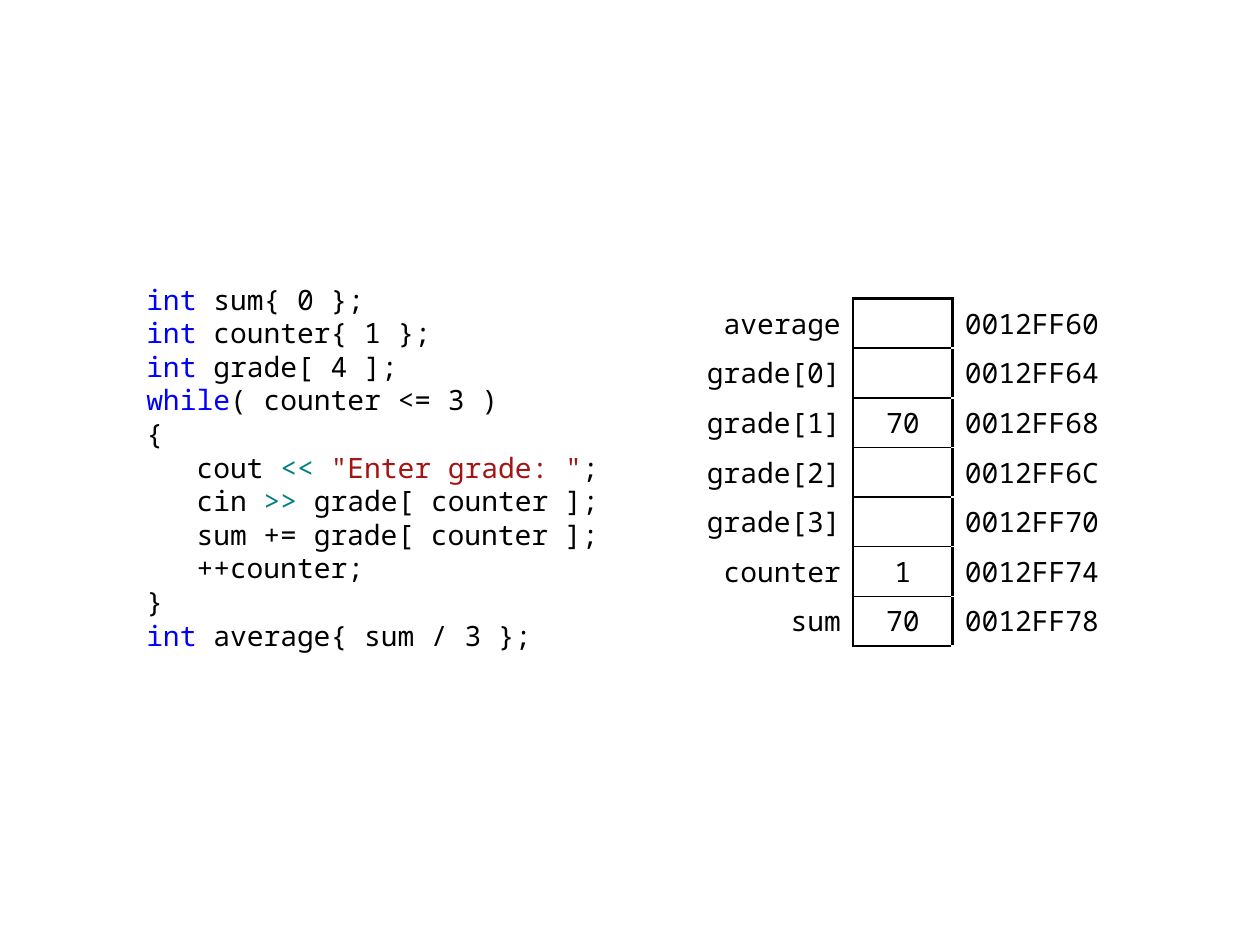
from pptx import Presentation
from pptx.dml.color import RGBColor
from pptx.enum.text import MSO_ANCHOR, PP_ALIGN
from pptx.oxml.ns import qn
from pptx.util import Cm, Pt
from lxml import etree

BLACK = RGBColor(0x00, 0x00, 0x00)
BLUE = RGBColor(0x00, 0x00, 0xFF)
TEAL = RGBColor(0x00, 0x80, 0x80)
RED = RGBColor(0xA3, 0x15, 0x15)

FONT = "Noto Sans Mono"
SIZE = Pt(16)
TOP, MIDDLE = MSO_ANCHOR.TOP, MSO_ANCHOR.MIDDLE
LEFT, CENTER, RIGHT = PP_ALIGN.LEFT, PP_ALIGN.CENTER, PP_ALIGN.RIGHT
THIN, THICK = Pt(1), Pt(1.5)

CODE = [
    [("int ", BLUE), ("sum{ 0 };", BLACK)],
    [("int ", BLUE), ("counter{ 1 };", BLACK)],
    [("int ", BLUE), ("grade[ 4 ];", BLACK)],
    [("while", BLUE), ("( counter <= 3 )", BLACK)],
    [("{", BLACK)],
    [("   cout ", BLACK), ("<< ", TEAL), ('"Enter grade: "', RED), (";", BLACK)],
    [("   cin ", BLACK), (">>", TEAL), (" grade[ counter ];", BLACK)],
    [("   sum += grade[ counter ];", BLACK)],
    [("   ++counter;", BLACK)],
    [("}", BLACK)],
    [("int ", BLUE), ("average{ sum / 3 };", BLACK)],
]

MEMORY = [
    ("average", "", "0012FF60"),
    ("grade[0]", "", "0012FF64"),
    ("grade[1]", "70", "0012FF68"),
    ("grade[2]", "", "0012FF6C"),
    ("grade[3]", "", "0012FF70"),
    ("counter", "1", "0012FF74"),
    ("sum", "70", "0012FF78"),
]


def style(run, color):
    run.font.name = FONT
    run.font.size = SIZE
    run.font.color.rgb = color


def add_code(slide, left, top, width, height):
    frame = slide.shapes.add_textbox(left, top, width, height).text_frame
    frame.word_wrap = True
    frame.vertical_anchor = TOP
    frame.margin_left = frame.margin_right = Cm(0.25)
    frame.margin_top = Cm(0.19)
    for i, line in enumerate(CODE):
        para = frame.paragraphs[0] if i == 0 else frame.add_paragraph()
        para.line_spacing = Pt(19.2)
        for text, color in line:
            run = para.add_run()
            run.text = text
            style(run, color)


def set_edges(cell, edges):
    props = cell._tc.get_or_add_tcPr()
    for side in "LRTB":
        if side in edges:
            line = etree.SubElement(props, qn(f"a:ln{side}"), w=str(edges[side]))
            fill = etree.SubElement(line, qn("a:solidFill"))
            etree.SubElement(fill, qn("a:srgbClr"), val=str(BLACK))


def cell_edges(row, col):
    if col == 0:
        return {"R": THICK}
    if col == 2:
        return {"L": THICK}
    last = len(MEMORY) - 1
    return {
        "L": THICK,
        "R": THICK,
        "T": THICK if row == 0 else THIN,
        "B": THICK if row == last else THIN,
    }


def add_memory(slide, left, top, width, height):
    rows = len(MEMORY)
    table = slide.shapes.add_table(rows, 3, left, top, width, height).table
    table.first_row = table.horz_banding = False
    side = Cm(3.5)
    for column, size in zip(table.columns, (side, width - 2 * side, side)):
        column.width = size
    for i, values in enumerate(MEMORY):
        table.rows[i].height = height // rows
        for j, (text, align) in enumerate(zip(values, (RIGHT, CENTER, LEFT))):
            cell = table.cell(i, j)
            set_edges(cell, cell_edges(i, j))
            cell.fill.background()
            cell.vertical_anchor = MIDDLE
            cell.margin_left = Cm(0.25)
            cell.margin_right = Cm(0.2) if j == 2 else Cm(0.25)
            cell.margin_top = cell.margin_bottom = Cm(0.1)
            para = cell.text_frame.paragraphs[0]
            para.alignment = align
            if text:
                para.text = text
                style(para.runs[0], BLACK)


def main():
    deck = Presentation()
    deck.slide_width, deck.slide_height = Cm(25.4), Cm(19.05)
    slide = deck.slides.add_slide(deck.slide_layouts[6])
    add_code(slide, Cm(2.7), Cm(5.5), Cm(10), Cm(8))
    add_memory(slide, Cm(13.7), Cm(6.02), Cm(9), Cm(7))
    deck.save("out.pptx")


if __name__ == "__main__":
    main()
